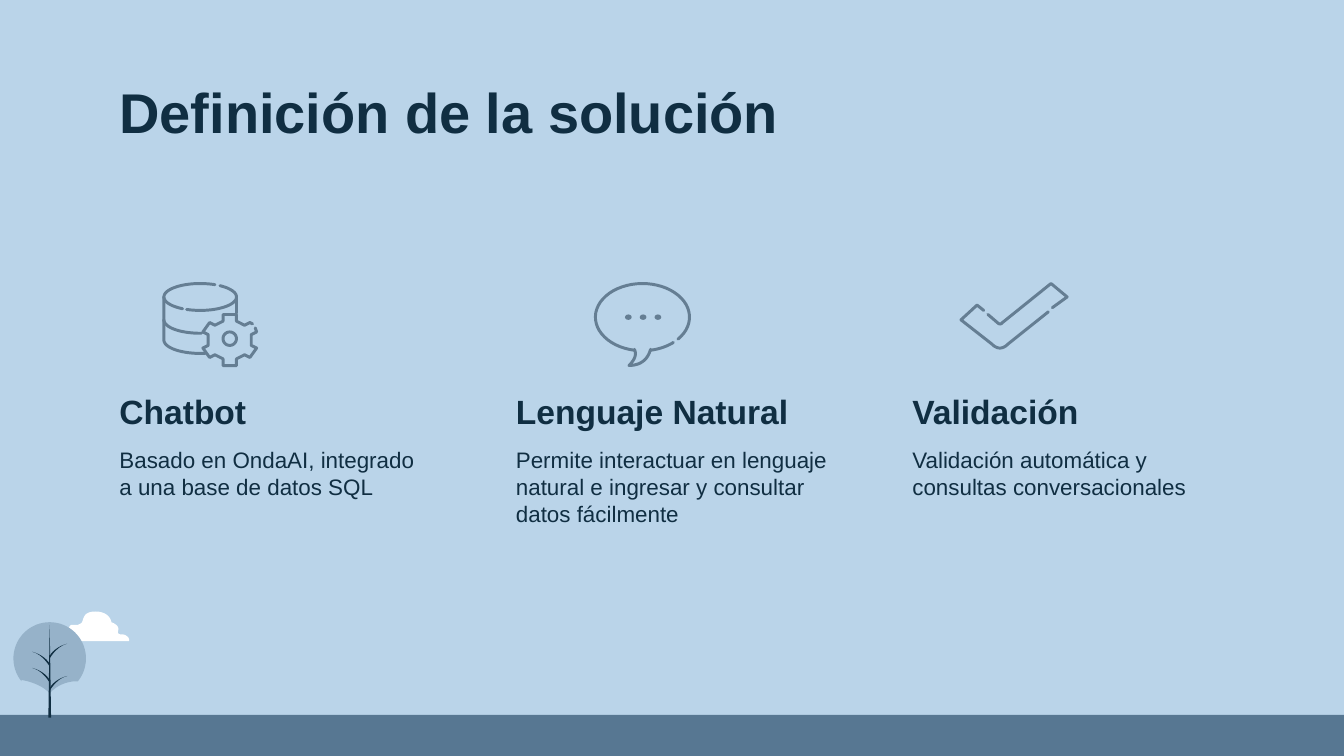
from math import cos, radians, sin

from pptx import Presentation
from pptx import util as u
from pptx.dml.color import RGBColor
from pptx.enum import shapes, text
from pptx.oxml.ns import qn

NAVY, SLATE, ICON, MIST, SKY, WHITE = "102E42", "577792", "657E93", "96B2C9", "BAD4E9", "FFFFFF"
WIDTH, HEIGHT = 10, 10 * 9 / 16


def rgb(value):
    return RGBColor.from_string(value)


def arc(cx, cy, rx, ry, start, end):
    """Sample an elliptical arc; angles run clockwise from the right."""
    angles = [radians(start + (end - start) * i / 48) for i in range(49)]
    return [(cx + rx * cos(a), cy + ry * sin(a)) for a in angles]


def trace(*steps):
    """Turn points and six-number Bezier steps into a list of points."""
    points = [steps[0]]
    for step in steps[1:]:
        if len(step) == 2:
            points.append(step)
            continue
        (x0, y0), (x1, y1, x2, y2, x3, y3) = points[-1], step
        for i in range(1, 13):
            t = i / 12
            a, b, c, d = (1 - t) ** 3, 3 * t * (1 - t) ** 2, 3 * t * t * (1 - t), t ** 3
            points.append((a * x0 + b * x1 + c * x2 + d * x3, a * y0 + b * y1 + c * y2 + d * y3))
    return points


class Deck:
    """Holds the style and the current slide."""

    font = "Arial"
    stroke = 1.6

    def __init__(self, width, height, background):
        self.prs = Presentation()
        self.prs.slide_width, self.prs.slide_height = u.Inches(width), u.Inches(height)
        self.slide = self.prs.slides.add_slide(self.prs.slide_layouts[6])
        self.slide.background.fill.solid()
        self.slide.background.fill.fore_color.rgb = rgb(background)

    def paint(self, shape, color):
        shape.shadow.inherit = False
        shape.fill.solid()
        shape.fill.fore_color.rgb = rgb(color)
        shape.line.fill.background()

    def preset(self, kind, left, top, width, height, color):
        box = map(u.Inches, (left, top, width, height))
        self.paint(self.slide.shapes.add_shape(kind, *box), color)

    def freeform(self, contours, close):
        contours = [[(u.Inches(x), u.Inches(y)) for x, y in points] for points in contours]
        builder = self.slide.shapes.build_freeform(*contours[0][0])
        for i, points in enumerate(contours):
            if i:
                builder.move_to(*points[0])
            builder.add_line_segments(points[1:], close=close)
        return builder.convert_to_shape()

    def silhouette(self, points, color):
        self.paint(self.freeform([points], True), color)

    def icon(self, *contours):
        shape = self.freeform(contours, False)
        shape.shadow.inherit = False
        shape.fill.background()
        shape.line.color.rgb = rgb(ICON)
        shape.line.width = u.Pt(self.stroke)
        shape._element.spPr.find(qn("a:ln")).set("cap", "rnd")

    def label(self, words, left, top, width, height, size, bold=False, anchor=text.MSO_ANCHOR.TOP):
        box = self.slide.shapes.add_textbox(*map(u.Inches, (left, top, width, height)))
        frame = box.text_frame
        frame.word_wrap = True
        frame.vertical_anchor = anchor
        frame.margin_left = frame.margin_right = u.Inches(0.1)
        frame.margin_top = frame.margin_bottom = u.Inches(0.1)
        frame.text = words
        font = frame.paragraphs[0].runs[0].font
        font.name, font.size, font.bold = self.font, u.Pt(size), bold
        font.color.rgb = rgb(NAVY)


def draw_landscape(deck):
    deck.preset(shapes.MSO_SHAPE.RECTANGLE, 0, 5.32, WIDTH, HEIGHT - 5.32, SLATE)
    cloud = trace(
        (0.71, 4.55), (0.6, 4.55, 0.63, 4.63, 0.6, 4.64), (0.58, 4.65), (0.53, 4.65),
        (0.5, 4.67, 0.51, 4.71, 0.49, 4.72), (0.46, 4.72, 0.44, 4.7, 0.42, 4.7),
        (0.37, 4.71, 0.37, 4.75, 0.36, 4.75), (0.32, 4.74), (0.26, 4.77), (0.96, 4.77),
        (0.96, 4.77, 0.97, 4.75, 0.94, 4.73), (0.91, 4.71, 0.89, 4.73, 0.88, 4.71),
        (0.87, 4.7, 0.91, 4.66, 0.83, 4.63), (0.83, 4.63, 0.82, 4.55, 0.71, 4.55))
    deck.silhouette(cloud, WHITE)
    crown = arc(0.37, 4.9, 0.27, 0.27, 141, 399)
    crown += trace((0.57, 5.07), (0.44, 5.07, 0.37, 5.16, 0.37, 5.16),
                   (0.3, 5.08, 0.16, 5.06, 0.16, 5.06))
    deck.silhouette(crown, MIST)
    deck.silhouette([(0.37, 4.65), (0.36, 5.34), (0.38, 5.34)], NAVY)
    for side, tip in ((1, 5.03), (1, 4.79), (-1, 4.85), (-1, 4.97)):
        end, bend, low = 0.37 + side * 0.13, 0.37 + side * 0.04, tip + 0.02
        deck.silhouette(trace(
            (end, tip), (end, tip, bend, low, 0.37, tip + 0.09), (0.37, tip + 0.11),
            (0.37, tip + 0.11, bend + side * 0.01, low, end, tip)), NAVY)


def draw_icons(deck):
    for i in range(3):
        deck.preset(shapes.MSO_SHAPE.OVAL, 4.65 + i * 0.11, 2.34, 0.05, 0.04, ICON)
    bubble = (4.78, 2.36, 0.35, 0.25)
    tail = trace((4.72, 2.6), (4.74, 2.64, 4.72, 2.68, 4.68, 2.72),
                 (4.76, 2.72, 4.82, 2.68, 4.84, 2.6))
    deck.icon(arc(*bubble, 41, -260) + tail + arc(*bubble, 80, 49))

    disk = (0.27, 0.1)
    deck.icon(
        arc(1.49, 2.21, *disk, -57, 112), arc(1.49, 2.21, *disk, 119, 294),
        arc(1.49, 2.38, *disk, 180, 88),
        [(1.22, 2.21)] + arc(1.49, 2.53, *disk, 180, 82), [(1.76, 2.21), (1.76, 2.33)])
    teeth = [(0.16, 0.04), (0.2, 0.06), (0.15, 0.13), (0.11, 0.11), (0.05, 0.14), (0.05, 0.19)]
    ring = []
    for sx, sy, order in ((1, 1, 1), (-1, 1, -1), (-1, -1, 1), (1, -1, -1)):
        ring += [(1.71 + sx * x, 2.53 + sy * y) for x, y in teeth[::order]]
    gear = [(1.9, 2.44)] + ring[-2:] + ring[:-2] + [(1.88, 2.41)]
    deck.icon(gear, arc(1.71, 2.52, 0.05, 0.05, 0, 360))

    deck.icon(trace((7.32, 2.31), (7.27, 2.27), (7.15, 2.38), (7.38, 2.56),
                    (7.42, 2.6, 7.46, 2.6, 7.5, 2.56), (7.8, 2.32)))
    deck.icon(trace((7.35, 2.34), (7.42, 2.4), (7.44, 2.42, 7.45, 2.41, 7.46, 2.4),
                    (7.82, 2.11), (7.94, 2.21), (7.83, 2.29)))


def main():
    deck = Deck(WIDTH, HEIGHT, SKY)
    draw_landscape(deck)
    deck.label("Definición de la solución", 0.79, 0.48, 8.43, 0.63, 30, True)
    features = (
        ("Chatbot", "Basado en OndaAI, integrado a una base de datos SQL"),
        ("Lenguaje Natural",
         "Permite interactuar en lenguaje natural e ingresar y consultar datos fácilmente"),
        ("Validación", "Validación automática y consultas conversacionales"))
    for i, (heading, detail) in enumerate(features):
        left = 0.79 + i * 2.95
        deck.label(heading, left, 2.81, 2.52, 0.5, 18, True, text.MSO_ANCHOR.BOTTOM)
        deck.label(detail, left, 3.22, 2.52, 1.5, 12)
    draw_icons(deck)
    deck.prs.save("out.pptx")


if __name__ == "__main__":
    main()
